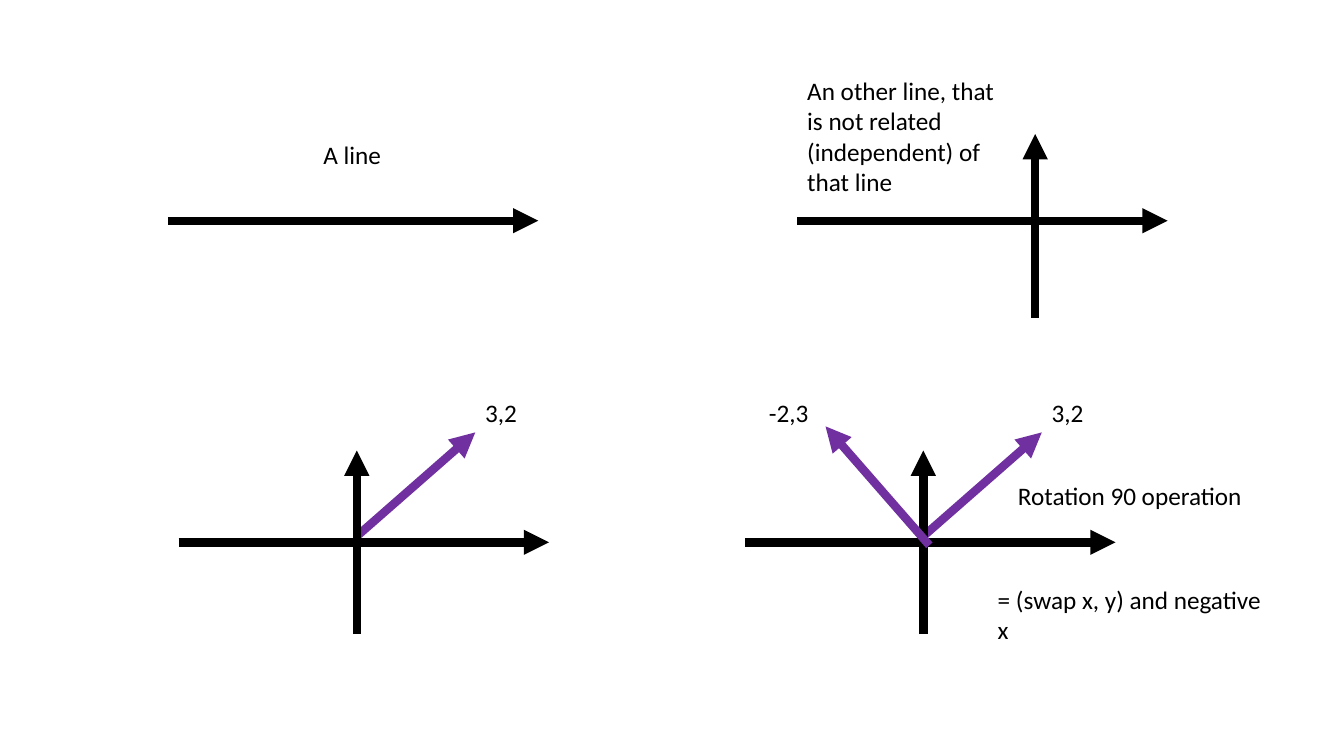
from dataclasses import dataclass

from lxml import etree
from pptx import Presentation
from pptx.dml.color import RGBColor
from pptx.enum.text import MSO_AUTO_SIZE
from pptx.enum.shapes import MSO_CONNECTOR
from pptx.oxml.ns import qn
from pptx.util import Inches, Pt

STRAIGHT = MSO_CONNECTOR.STRAIGHT
FIT_SHAPE = MSO_AUTO_SIZE.SHAPE_TO_FIT_TEXT

BLACK, PURPLE = "000000", "7030A0"
COLS, ROWS = 80, 45
AXIS_X, AXIS_Y = 22.04, 10.92  # axis lengths in grid units
LABEL_H = 2.4
FONT = {"name": "Calibri", "size": Pt(18)}

prs = Presentation()
prs.slide_width, prs.slide_height = Inches(13.33), Inches(7.5)
s = prs.slides.add_slide(prs.slide_layouts[6])


@dataclass
class Axes:
    """Crossing point, and how far the axes reach left of and below it."""
    x: float
    y: float
    left: float
    below: float = AXIS_Y / 2


@dataclass
class Label:
    text: str
    x: float
    y: float
    w: float
    h: float = LABEL_H
    wrap: bool = False


def col(n: float) -> int:
    return round(prs.slide_width * n / COLS)


def row(n: float) -> int:
    return round(prs.slide_height * n / ROWS)


def rgb(value: str) -> RGBColor:
    return RGBColor.from_string(value)


def arrow(x1: float, y1: float, x2: float, y2: float, color: str = BLACK) -> None:
    c = s.shapes.add_connector(STRAIGHT, col(x1), row(y1), col(x2), row(y2))
    c.line.width = Pt(6)
    c.line.color.rgb = rgb(color)
    etree.SubElement(c.line._get_or_add_ln(), qn("a:tailEnd"), type="triangle")
    etree.SubElement(c._element.spPr, qn("a:effectLst"))


def horizontal(x: float, y: float) -> None:
    arrow(x, y, x + AXIS_X, y)


def draw_axes(a: Axes) -> None:
    horizontal(a.x - a.left, a.y)
    arrow(a.x, a.y + a.below, a.x, a.y + a.below - AXIS_Y)


def draw_label(lb: Label) -> None:
    tf = s.shapes.add_textbox(col(lb.x), row(lb.y), col(lb.w), row(lb.h)).text_frame
    tf.word_wrap, tf.auto_size = lb.wrap, FIT_SHAPE
    r = tf.paragraphs[0].add_run()
    r.text = lb.text
    r.font.color.rgb = rgb(BLACK)
    for key, value in FONT.items():
        setattr(r.font, key, value)


def draw_vector_plot(a: Axes) -> None:
    arrow(a.x, a.y - 0.36, a.x + 7.05, a.y - 6.54, PURPLE)
    draw_axes(a)
    draw_label(Label("3,2", a.x + 7.05, a.y - 8.94, 3.12))


# Top row: a single line, then a second independent one
horizontal(10, 13.14)
draw_axes(Axes(61.62, 13.14, left=14.16, below=5.76))

# Bottom row: a vector, then the same vector with its rotation
plot = Axes(21.24, 32.28, left=10.6)
rotated = Axes(54.96, 32.28, left=10.6)
draw_vector_plot(plot)
draw_vector_plot(rotated)
arrow(rotated.x + 0.36, rotated.y + 0.18, rotated.x - 5.82, rotated.y - 6.9, PURPLE)

# Captions
for label in (
    Label("A line", 18.66, 7.98, 4.68),
    Label("An other line, that is not related (independent) of that line",
          47.46, 4.2, 13.38, 7.86, wrap=True),
    Label("-2,3", rotated.x - 9.78, rotated.y - 8.94, 3.6),
    Label("Rotation 90 operation", 60, 28.32, 14.5),
    Label("= (swap x, y) and negative x", 58.8, 34.5, 17.75),
):
    draw_label(label)

prs.save("out.pptx")
